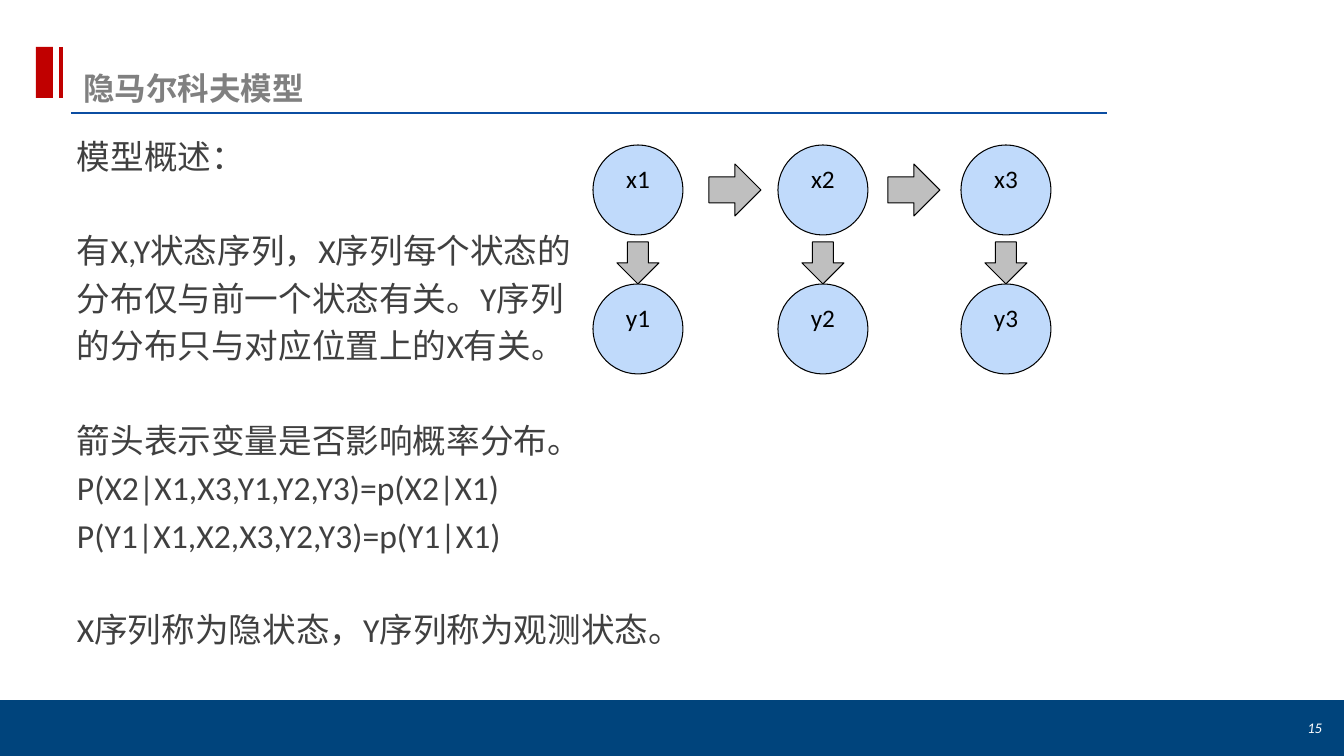
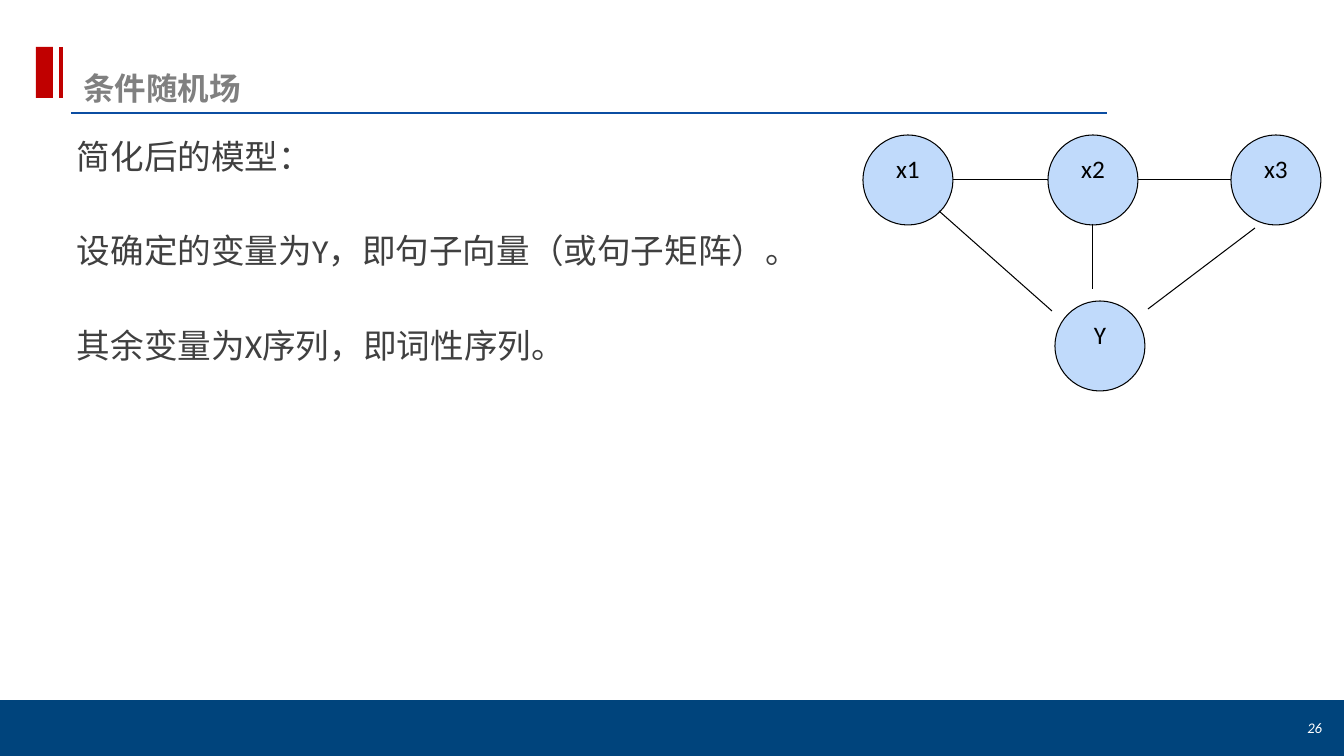
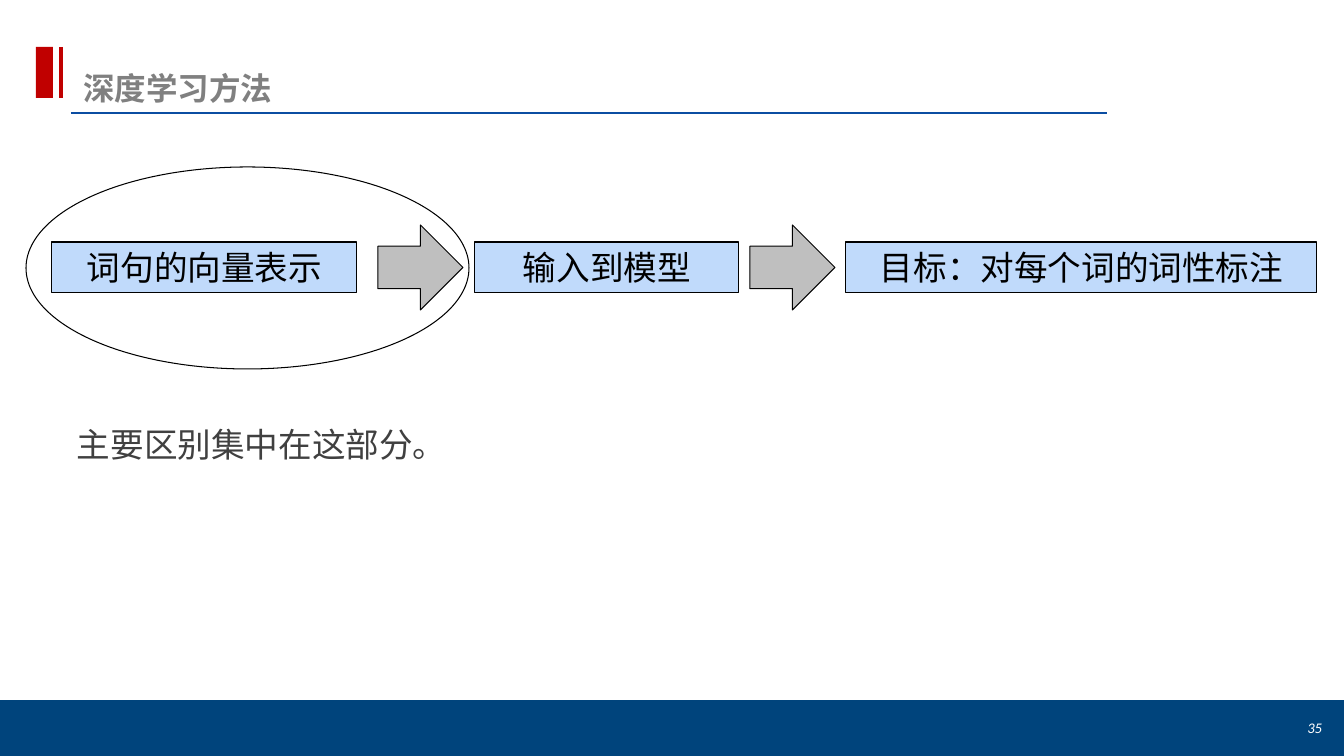
from lxml import etree
from pptx import Presentation
from pptx.dml.color import RGBColor
from pptx.enum.shapes import MSO_CONNECTOR, MSO_SHAPE
from pptx.enum.text import MSO_ANCHOR, MSO_AUTO_SIZE, PP_ALIGN
from pptx.oxml.ns import qn
from pptx.util import Emu, Pt

PX = 914400 / 100.8
SLIDE_W, SLIDE_H = 1344, 756
LATIN, CJK = "Calibri", "Noto Sans CJK SC"
NAVY, BLUE, RED = "00447C", "0B4DA2", "C00000"
PALE, GREY, BLACK, WHITE = "C0DAFB", "BFBFBF", "000000", "FFFFFF"
TITLE_COLOR, BODY_COLOR = "808080", "404040"
LINE_GAP, BLOCK_GAP = 6.8, 40.7

# Each body is a list of blocks, each block a list of lines.
HMM = {
    "title": "隐马尔科夫模型", "number": "15", "body_top": 135,
    "body": [
        ["模型概述："],
        ["有X,Y状态序列，X序列每个状态的", "分布仅与前一个状态有关。Y序列",
         "的分布只与对应位置上的X有关。"],
        ["箭头表示变量是否影响概率分布。", "P(X2|X1,X3,Y1,Y2,Y3)=p(X2|X1)",
         "P(Y1|X1,X2,X3,Y2,Y3)=p(Y1|X1)"],
        ["X序列称为隐状态，Y序列称为观测状态。"],
    ],
}
CRF = {
    "title": "条件随机场", "number": "26", "body_top": 135,
    "body": [
        ["简化后的模型："],
        ["设确定的变量为Y，即句子向量（或句子矩阵）。"],
        ["其余变量为X序列，即词性序列。"],
    ],
}
DEEP = {
    "title": "深度学习方法", "number": "35", "body_top": 423,
    "body": [["主要区别集中在这部分。"]],
}

NODE = 90
COLUMNS = (0, 185, 368)  # node offsets from the left of a chain
HMM_LEFT, HMM_ROWS = 593, (("x", 145), ("y", 284))
HMM_ARROWS, ARROW, DROP = (709, 888), 52, 42
CRF_LEFT, CRF_TOP = 863, 135
CRF_Y = (1055, 301)
CRF_EDGES = [(939, 211, 1052, 311), (1093, 224, 1093, 289), (1255, 228, 1148, 309)]
STEPS = [("词句的向量表示", 52, 305), ("输入到模型", 475, 264),
         ("目标：对每个词的词性标注", 846, 471)]
STEP_TOP, STEP_H = 242, 51
STEP_ARROWS, STEP_ARROW = (378, 750), 85


def px(*lengths):
    return [Emu(round(n * PX)) for n in lengths]


def rgb(color):
    return RGBColor.from_string(color)


def style(p, size, color, font=LATIN, bold=False, italic=False):
    for r in p.runs:
        f = r.font
        f.size, f.bold, f.italic, f.name = Pt(size), bold, italic, font
        f.color.rgb = rgb(color)
        ea = etree.SubElement(r.font._element, qn("a:ea"))
        ea.set("typeface", font)


def add_shape(s, kind, x, y, w, h, fill=None, line=BLACK, text="", size=18):
    sp = s.shapes.add_shape(kind, *px(x, y, w, h))
    sp.shadow.inherit = False
    if fill:
        sp.fill.solid()
        sp.fill.fore_color.rgb = rgb(fill)
    else:
        sp.fill.background()
    if line:
        sp.line.color.rgb = rgb(line)
        sp.line.width = Pt(0.75)
    else:
        sp.line.fill.background()
    if text:
        tf = sp.text_frame
        tf.text, tf.vertical_anchor = text, MSO_ANCHOR.TOP
        tf.paragraphs[0].alignment = PP_ALIGN.CENTER
        style(tf.paragraphs[0], size, BLACK)
    return sp


def add_line(s, x1, y1, x2, y2, color=BLACK, width=0.75):
    line = s.shapes.add_connector(MSO_CONNECTOR.STRAIGHT, *px(x1, y1, x2, y2))
    line.line.color.rgb, line.line.width = rgb(color), Pt(width)
    etree.SubElement(line._element.spPr, qn("a:effectLst"))
    return line


def add_node(s, text, x, y):
    add_shape(s, MSO_SHAPE.OVAL, x, y, NODE, NODE, PALE, text=text)


def decorate_layout(layout, s):
    """Draw the shared band and rules on s, then move them to its layout."""
    marks = [
        add_shape(s, MSO_SHAPE.RECTANGLE, 0, 700, SLIDE_W, 56, NAVY, None),
        add_line(s, 71, 113, 1107, 113, BLUE, 1.5),
        add_shape(s, MSO_SHAPE.RECTANGLE, 36, 47, 17, 51, RED, None),
        add_line(s, 61, 47, 61, 98, RED, 3),
    ]
    for mark in marks:
        layout.shapes.element.append(mark._element)


def place(sp, x, y, w, h):
    sp.left, sp.top, sp.width, sp.height = px(x, y, w, h)
    sp.text_frame.auto_size = MSO_AUTO_SIZE.NONE
    sp.text_frame.word_wrap = True
    return sp.text_frame


def fill_title(s, text):
    tf = place(s.shapes.title, 73, 25, 1034, 87)
    tf.text, tf.vertical_anchor = text, MSO_ANCHOR.BOTTOM
    p = tf.paragraphs[0]
    p.alignment, p.line_spacing = PP_ALIGN.LEFT, 0.85
    style(p, 22.5, TITLE_COLOR, CJK, bold=True)


def fill_body(s, blocks, top):
    tf = place(s.placeholders[1], 71, top, 1206, 661 - top)
    tf.margin_left = tf.margin_right = 0
    tf.vertical_anchor = MSO_ANCHOR.TOP
    tf.text = "\n".join(line for block in blocks for line in block)
    gaps = [LINE_GAP if i else BLOCK_GAP for block in blocks for i in range(len(block))]
    gaps[0] = 0
    for p, gap in zip(tf.paragraphs, gaps):
        pPr = p._p.get_or_add_pPr()
        pPr.set("marL", str(px(6)[0]))
        pPr.set("indent", "0")
        etree.SubElement(pPr, qn("a:buNone"))
        p.line_spacing, p.space_before, p.space_after = 0.9, Pt(gap), Pt(1.1)
        style(p, 24, BODY_COLOR)


def add_number(s, text):
    tf = place(s.shapes.add_textbox(0, 0, 0, 0), 1188, 708, 144, 40)
    tf.text, tf.vertical_anchor = text, MSO_ANCHOR.MIDDLE
    tf.paragraphs[0].alignment = PP_ALIGN.RIGHT
    style(tf.paragraphs[0], 10.5, WHITE, italic=True)


def draw_hmm(s):
    (_, top), (_, low) = HMM_ROWS
    for i, dx in enumerate(COLUMNS, 1):
        x = HMM_LEFT + dx
        for name, y in HMM_ROWS:
            add_node(s, f"{name}{i}", x, y)
        add_shape(s, MSO_SHAPE.DOWN_ARROW, x + (NODE - DROP) / 2, low - DROP,
                  DROP, DROP, GREY)
    for x in HMM_ARROWS:
        add_shape(s, MSO_SHAPE.RIGHT_ARROW, x, top + (NODE - ARROW) / 2,
                  ARROW, ARROW, GREY)


def draw_crf(s):
    lefts = [CRF_LEFT + dx for dx in COLUMNS]
    for i, x in enumerate(lefts, 1):
        add_node(s, f"x{i}", x, CRF_TOP)
    add_node(s, "Y", *CRF_Y)
    middle = CRF_TOP + NODE / 2
    links = [(a + NODE, middle, b, middle) for a, b in zip(lefts, lefts[1:])]
    for edge in links + CRF_EDGES:
        add_line(s, *edge)


def draw_deep(s):
    for text, x, w in STEPS:
        add_shape(s, MSO_SHAPE.RECTANGLE, x, STEP_TOP, w, STEP_H, PALE,
                  text=text, size=24)
    for x in STEP_ARROWS:
        add_shape(s, MSO_SHAPE.RIGHT_ARROW, x, STEP_TOP + (STEP_H - STEP_ARROW) / 2,
                  STEP_ARROW, STEP_ARROW, GREY)
    add_shape(s, MSO_SHAPE.OVAL, 26, 167, 443, 202)


def main():
    prs = Presentation()
    prs.slide_width, prs.slide_height = px(SLIDE_W, SLIDE_H)
    layout = prs.slide_layouts[1]
    for content, draw in ((HMM, draw_hmm), (CRF, draw_crf), (DEEP, draw_deep)):
        s = prs.slides.add_slide(layout)
        if len(prs.slides) == 1:
            decorate_layout(layout, s)
        fill_title(s, content["title"])
        fill_body(s, content["body"], content["body_top"])
        add_number(s, content["number"])
        draw(s)
    prs.save("out.pptx")


if __name__ == "__main__":
    main()
